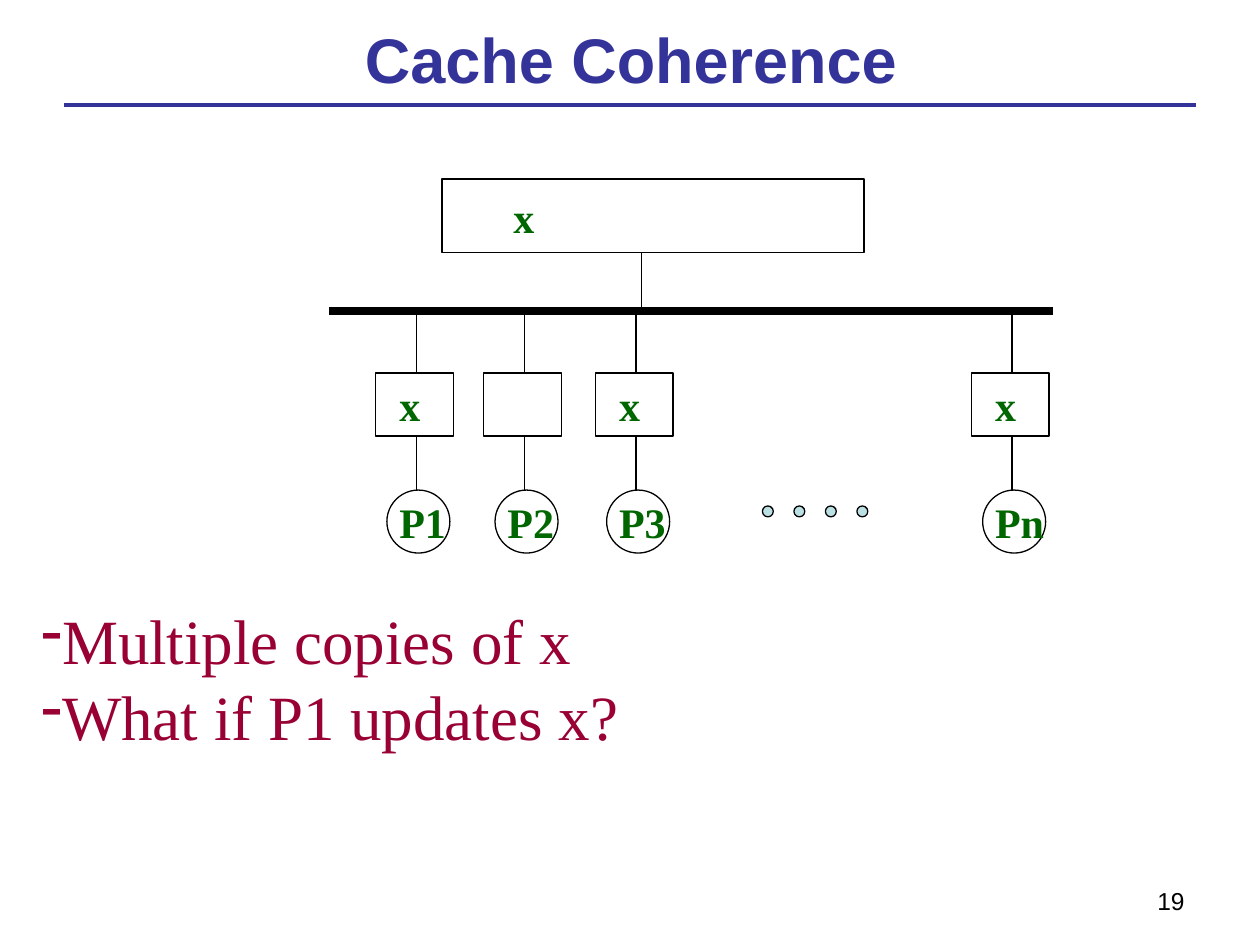
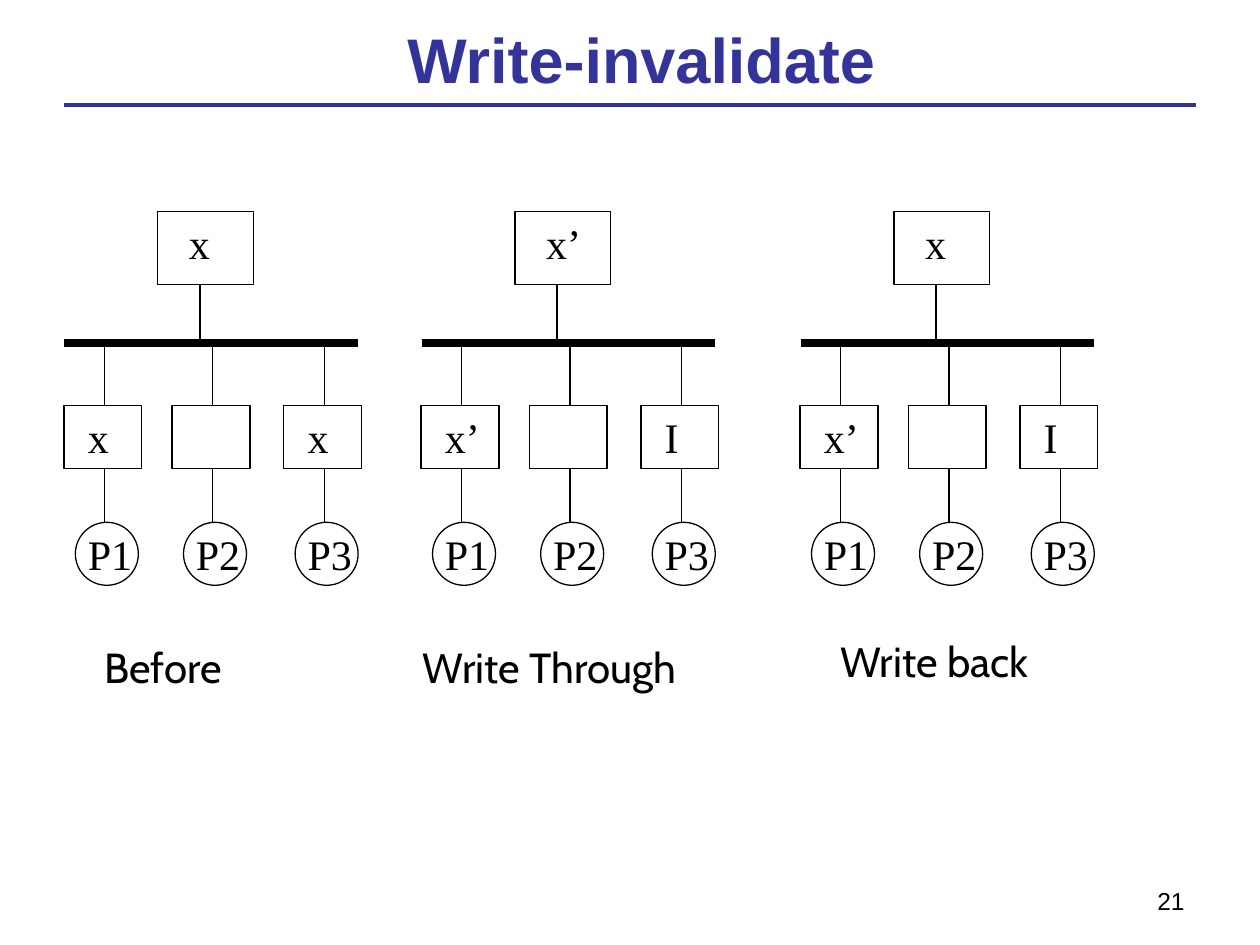
import pptx
import pptx.dml.color
import pptx.enum.shapes
import pptx.enum.text
import pptx.oxml.ns
import pptx.util
from lxml import etree

Cm = pptx.util.Cm
Pt = pptx.util.Pt
Kind = pptx.enum.shapes.MSO_SHAPE
Align = pptx.enum.text.PP_ALIGN
Fit = pptx.enum.text.MSO_AUTO_SIZE
qn = pptx.oxml.ns.qn


def colour(hex_code):
    return pptx.dml.color.RGBColor.from_string(hex_code)


def write(frame, lines, style, hue, align=Align.LEFT):
    frame.text = "\n".join(lines)
    for paragraph in frame.paragraphs:
        paragraph.alignment = align
        font = paragraph.runs[0].font
        font.color.rgb = colour(hue)
        for attribute, value in style.items():
            setattr(font, attribute, value)


BLACK, NAVY, GREEN, WINE, PALE = "000000", "333399", "006600", "990033", "BBE0E3"
TITLE = {"name": "Arial", "size": Pt(36), "bold": True}
NUMBER = {"name": "Arial", "size": Pt(14)}
NODE = {"name": "Times New Roman", "size": Pt(24)}
QUESTION = {"name": "Times New Roman", "size": Pt(36)}
CAPTION = {"name": "Cabin", "size": Pt(24)}

CELL, CELL_WIDTH = 1.27, 1.57
MEMORY_RISE, MEMORY_HEIGHT = 2.66, 1.48
CACHE_DROP, PROCESSOR_DROP = 1.25, 3.61
OFFSETS = {"P1": 0, "P2": 2.18, "P3": 4.43, "Pn": 12.01}
WIDTHS = {"x": 0.94, "x’": 1.22, "I": 0.81, "P1": 1.46, "P2": 1.46, "P3": 1.46, "Pn": 1.52}

wide = {"bus": (-1.17, 14.6), "memory": (1.11, 8.51), "stem": 5.13, "letter": (2.3, 0.13)}
narrow = {"bus": (-0.22, 5.92), "memory": (1.66, 1.93), "stem": 2.51, "letter": (2.04, 0)}

pages = [
    {
        "title": "Cache Coherence", "title_left": 1.9, "number": "19", "bus_y": 6.27,
        "ink": GREEN, "node": {**NODE, "bold": True}, "plan": wide,
        "systems": [(7.8, "x", {"P1": "x", "P2": "", "P3": "x", "Pn": "x"})],
        "dots": [(15.37 + 0.635 * i, 10.2) for i in range(4)],
        "notes": [(0.58, 12.01, 12.14, 3.53, ["Multiple copies of x", "What if P1 updates x?"], QUESTION, WINE)],
    },
    {
        "title": "Write-invalidate", "title_left": 2.11, "number": "21", "bus_y": 6.92,
        "ink": BLACK, "node": NODE, "plan": narrow,
        "systems": [
            (1.52, "x", {"P1": "x", "P2": "", "P3": "x"}),
            (8.72, "x’", {"P1": "x’", "P2": "", "P3": "I"}),
            (16.36, "x", {"P1": "x’", "P2": "", "P3": "I"}),
        ],
        "dots": [],
        "notes": [
            (1.85, 12.8, 2.92, 1.27, ["Before"], CAPTION, BLACK),
            (8.27, 12.8, 5.89, 1.27, ["Write Through"], CAPTION, BLACK),
            (16.69, 12.69, 4.5, 1.27, ["Write back"], CAPTION, BLACK),
        ],
    },
]

deck = pptx.Presentation()
deck.slide_width, deck.slide_height = Cm(25.4), Cm(19.05)

for page in pages:
    slide = deck.slides.add_slide(deck.slide_layouts[5])
    title = slide.shapes.title
    title.left, title.top, title.width, title.height = Cm(page["title_left"]), Cm(0.33), Cm(21.64), Cm(1.68)
    write(title.text_frame, [page["title"]], TITLE, NAVY, Align.CENTER)
    title.text_frame.word_wrap = False
    title.text_frame.auto_size = Fit.NONE
    title.text_frame.vertical_anchor = pptx.enum.text.MSO_ANCHOR.MIDDLE

    number = slide.shapes.add_textbox(Cm(18.21), Cm(17.73), Cm(5.92), Cm(0.94))
    number.text_frame.word_wrap = True
    write(number.text_frame, [page["number"]], NUMBER, BLACK, Align.RIGHT)

    wires = [(1.3, 2.12, 24.1, 2.12, 2.25, NAVY)]
    outlines = [(Kind.OVAL, x, y, 0.22, 0.22, PALE) for x, y in page["dots"]]
    labels = list(page["notes"])
    bus_y, plan = page["bus_y"], page["plan"]
    memory_top = bus_y - MEMORY_RISE
    cache_top = bus_y + CACHE_DROP
    processor_top = bus_y + PROCESSOR_DROP

    for left, stored, caches in page["systems"]:
        bus_left, bus_length = plan["bus"]
        memory_left, memory_width = plan["memory"]
        letter_left, letter_drop = plan["letter"]
        stem = left + plan["stem"]
        wires.append((left + bus_left, bus_y, left + bus_left + bus_length, bus_y, 4.5, BLACK))
        wires.append((stem, memory_top + MEMORY_HEIGHT, stem, bus_y, 0.75, BLACK))
        outlines.append((Kind.RECTANGLE, left + memory_left, memory_top, memory_width, MEMORY_HEIGHT, None))
        nodes = [(stored, left + letter_left, memory_top + letter_drop)]
        for processor, cached in caches.items():
            x = left + OFFSETS[processor]
            wires.append((x + 0.59, bus_y, x + 0.59, cache_top, 0.75, BLACK))
            wires.append((x + 0.59, cache_top + CELL, x + 0.59, processor_top, 0.75, BLACK))
            outlines.append((Kind.RECTANGLE, x - 0.23, cache_top, CELL_WIDTH, CELL, None))
            outlines.append((Kind.OVAL, x, processor_top, CELL, CELL, None))
            nodes += [(cached, x, cache_top), (processor, x, processor_top)]
        labels += [
            (x, y, WIDTHS[word], CELL, [word], page["node"], page["ink"])
            for word, x, y in nodes if word
        ]

    for x1, y1, x2, y2, weight, hue in wires:
        wire = slide.shapes.add_connector(
            pptx.enum.shapes.MSO_CONNECTOR.STRAIGHT, Cm(x1), Cm(y1), Cm(x2), Cm(y2))
        wire.line.width = Pt(weight)
        wire.line.color.rgb = colour(hue)
        etree.SubElement(wire._element.spPr, qn("a:effectLst"))

    for kind, x, y, width, height, fill in outlines:
        outline = slide.shapes.add_shape(kind, Cm(x), Cm(y), Cm(width), Cm(height))
        outline.shadow.inherit = False
        outline.line.width = Pt(0.75)
        outline.line.color.rgb = colour(BLACK)
        if fill:
            outline.fill.solid()
            outline.fill.fore_color.rgb = colour(fill)
        else:
            outline.fill.background()

    for x, y, width, height, lines, style, hue in labels:
        label = slide.shapes.add_textbox(Cm(x), Cm(y), Cm(width), Cm(height))
        label.text_frame.word_wrap = False
        label.text_frame.auto_size = Fit.SHAPE_TO_FIT_TEXT
        write(label.text_frame, lines, style, hue)
        if style is QUESTION:
            for paragraph in label.text_frame.paragraphs:
                properties = paragraph._p.get_or_add_pPr()
                etree.SubElement(properties, qn("a:buFontTx"))
                etree.SubElement(properties, qn("a:buChar"), char="-")

deck.save("out.pptx")
